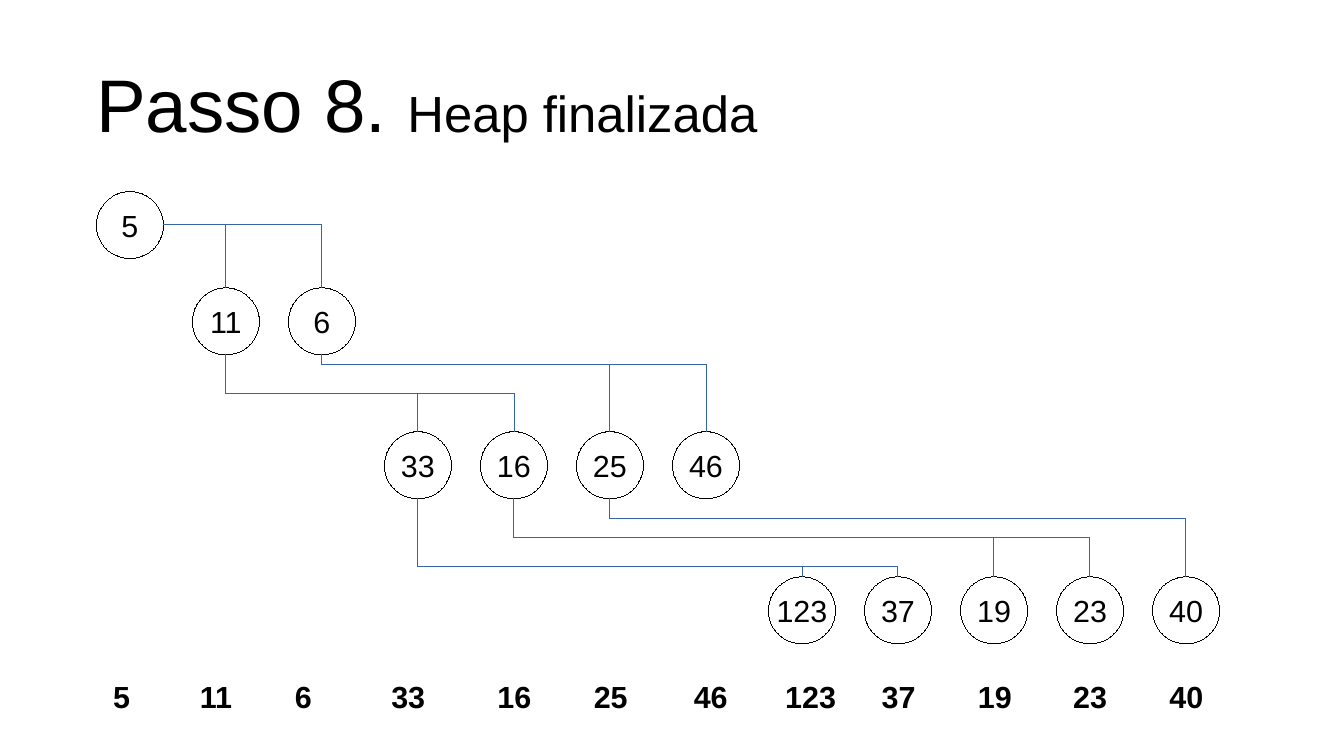
from dataclasses import dataclass

from lxml import etree
from pptx import Presentation
from pptx.dml.color import RGBColor
from pptx.enum.shapes import MSO_CONNECTOR, MSO_SHAPE
from pptx.enum.text import MSO_ANCHOR, MSO_AUTO_SIZE, PP_ALIGN
from pptx.oxml.ns import qn
from pptx.util import Inches, Pt

ELBOW = MSO_CONNECTOR.ELBOW
ELLIPSE = MSO_SHAPE.OVAL
MIDDLE, TOP = MSO_ANCHOR.MIDDLE, MSO_ANCHOR.TOP
LEFT, CENTER = PP_ALIGN.LEFT, PP_ALIGN.CENTER
FIXED, GROW = MSO_AUTO_SIZE.NONE, MSO_AUTO_SIZE.SHAPE_TO_FIT_TEXT


@dataclass(frozen=True)
class Theme:
    font: str = "Arial"
    ink: RGBColor = RGBColor(0x00, 0x00, 0x00)
    paper: RGBColor = RGBColor(0xFF, 0xFF, 0xFF)
    branch: RGBColor = RGBColor(0x34, 0x65, 0xA4)
    title_size: int = 44
    subtitle_size: int = 30
    value_size: int = 18


@dataclass(frozen=True)
class HeapItem:
    value: str
    label_left: float
    branch_y: float = 0


THEME = Theme()
HEAP = [
    HeapItem("5", 0.83),
    HeapItem("11", 1.54, 3.23),
    HeapItem("6", 2.32, 2.99),
    HeapItem("33", 3.11, 4.65),
    HeapItem("16", 3.98, 4.41),
    HeapItem("25", 4.77, 4.25),
    HeapItem("46", 5.59),
    HeapItem("123", 6.34),
    HeapItem("37", 7.13),
    HeapItem("19", 7.92),
    HeapItem("23", 8.7),
    HeapItem("40", 9.49),
]
NODE_SIZE = 0.55
FIRST_LEFT, LAST_LEFT = 0.79, 9.45
NODE_PITCH = (LAST_LEFT - FIRST_LEFT) / (len(HEAP) - 1)
LEVEL_TOPS = [1.57, 2.36, 3.54, 4.73]
LABEL_TOP, LABEL_HEIGHT = 5.51, 0.38
LABEL_WIDTHS = {1: 0.34, 2: 0.48, 3: 0.64}


def write(frame, *runs: tuple[str, int], bold=False, align=LEFT, anchor=TOP,
          wrap=False, fit=FIXED) -> None:
    frame.word_wrap = wrap
    frame.auto_size = fit
    frame.vertical_anchor = anchor
    paragraph = frame.paragraphs[0]
    paragraph.alignment = align
    for text, size in runs:
        run = paragraph.add_run()
        run.text = text
        run.font.name = THEME.font
        run.font.size = Pt(size)
        run.font.bold = bold
        run.font.color.rgb = THEME.ink


def set_hairline(shape, color: RGBColor) -> None:
    shape.line.color.rgb = color
    shape._element.spPr.find(qn("a:ln")).set("w", "0")


def node_position(index: int) -> tuple[float, float]:
    level = (index + 1).bit_length() - 1
    return FIRST_LEFT + index * NODE_PITCH, LEVEL_TOPS[level]


def draw_title(slide) -> None:
    title = slide.shapes.title
    title.left, title.top = Inches(0.79), Inches(0.07)
    title.width, title.height = Inches(9.84), Inches(1.55)
    frame = title.text_frame
    frame.margin_left = frame.margin_right = 0
    frame.margin_top = frame.margin_bottom = 0
    write(frame, ("Passo 8. ", THEME.title_size),
          ("Heap finalizada", THEME.subtitle_size), anchor=MIDDLE, wrap=True)


def draw_node(slide, index: int) -> None:
    left, top = node_position(index)
    node = slide.shapes.add_shape(ELLIPSE, Inches(left), Inches(top),
                                  Inches(NODE_SIZE), Inches(NODE_SIZE))
    node.shadow.inherit = False
    node.fill.solid()
    node.fill.fore_color.rgb = THEME.paper
    set_hairline(node, THEME.ink)
    write(node.text_frame, (HEAP[index].value, THEME.value_size),
          align=CENTER, anchor=MIDDLE)


def add_branch(slide, x1: float, y1: float, x2: float, y2: float):
    branch = slide.shapes.add_connector(ELBOW, Inches(x1), Inches(y1),
                                        Inches(x2), Inches(y2))
    set_hairline(branch, THEME.branch)
    properties = branch._element.spPr
    etree.SubElement(properties, qn("a:effectLst"))
    return branch, properties


def draw_root_branch(slide, child: int) -> None:
    root_left, root_top = node_position(0)
    left, top = node_position(child)
    _, properties = add_branch(slide, root_left + NODE_SIZE,
                               root_top + NODE_SIZE / 2,
                               left + NODE_SIZE / 2, top)
    properties.find(qn("a:prstGeom")).set("prst", "bentConnector2")


def draw_inner_branch(slide, parent: int, child: int) -> None:
    parent_left, parent_top = node_position(parent)
    left, child_top = node_position(child)
    x1, x2 = parent_left + NODE_SIZE / 2, left + NODE_SIZE / 2
    y1 = parent_top + NODE_SIZE
    run, drop = x2 - x1, child_top - y1
    branch, properties = add_branch(slide, x1, y1, x2, child_top)

    branch.left = Inches((x1 + x2 - drop) / 2)
    branch.top = Inches((y1 + child_top - run) / 2)
    branch.width, branch.height = Inches(drop), Inches(run)
    transform = properties.find(qn("a:xfrm"))
    transform.set("rot", str(270 * 60000))
    transform.set("flipH", "1")

    bend = round((HEAP[parent].branch_y - y1) / drop * 100000)
    adjustments = properties.find(qn("a:prstGeom")).find(qn("a:avLst"))
    guide = etree.SubElement(adjustments, qn("a:gd"))
    guide.set("name", "adj1")
    guide.set("fmla", f"val {bend}")


def draw_array_label(slide, item: HeapItem) -> None:
    label = slide.shapes.add_textbox(
        Inches(item.label_left), Inches(LABEL_TOP),
        Inches(LABEL_WIDTHS[len(item.value)]), Inches(LABEL_HEIGHT))
    write(label.text_frame, (item.value, THEME.value_size), bold=True, fit=GROW)


def main() -> None:
    deck = Presentation()
    deck.slide_width, deck.slide_height = Inches(11.02), Inches(6.2)
    slide = deck.slides.add_slide(deck.slide_layouts[5])
    draw_title(slide)
    for index in range(len(HEAP)):
        draw_node(slide, index)
    for child in range(1, len(HEAP)):
        parent = (child - 1) // 2
        if parent == 0:
            draw_root_branch(slide, child)
        else:
            draw_inner_branch(slide, parent, child)
    for item in HEAP:
        draw_array_label(slide, item)
    deck.save("out.pptx")


if __name__ == "__main__":
    main()
